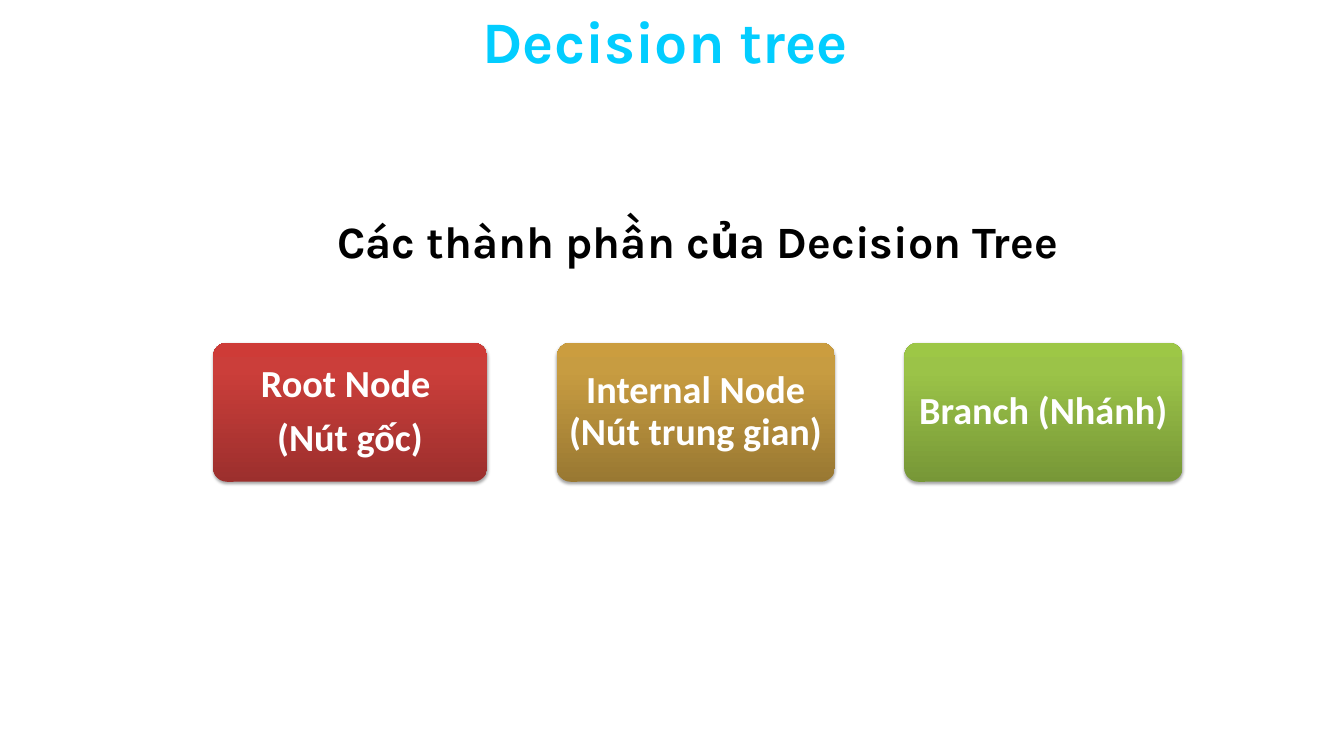
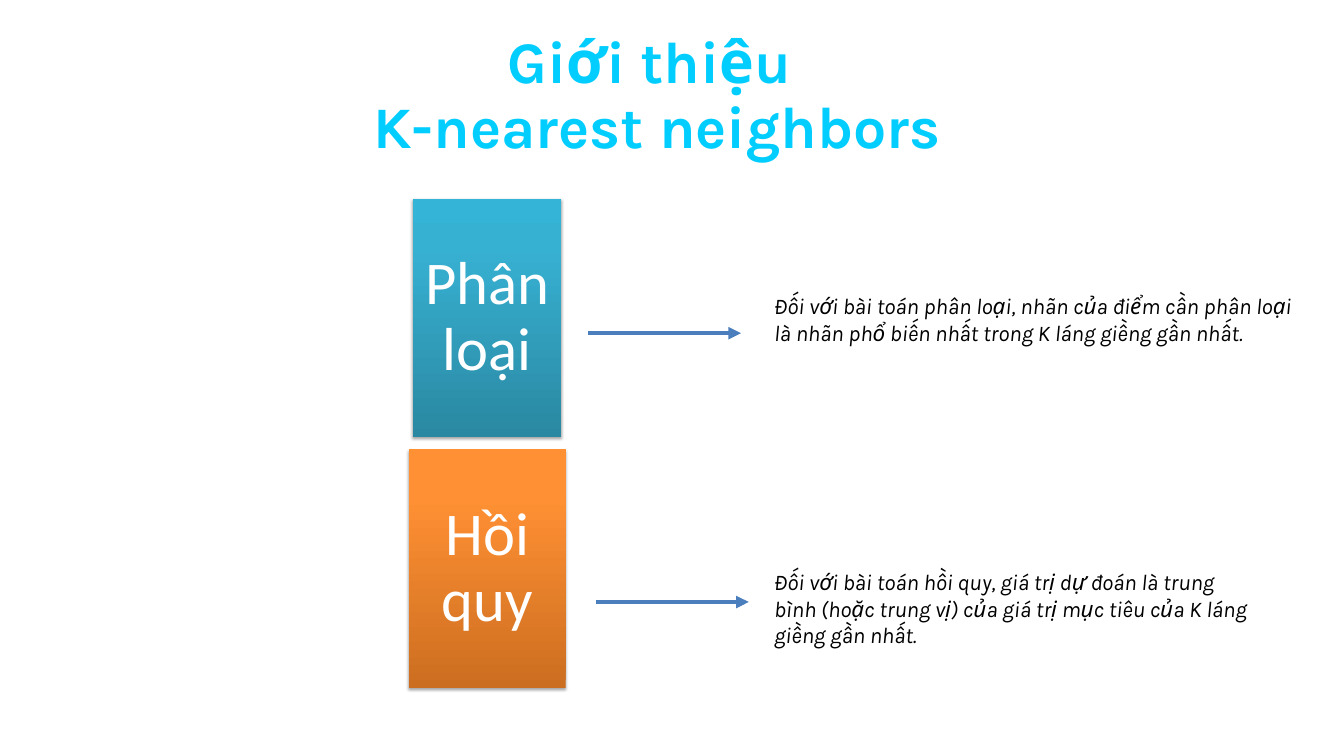
from copy import deepcopy

from lxml.etree import SubElement
from pptx import Presentation
from pptx.dml.color import RGBColor
from pptx.enum.shapes import MSO_CONNECTOR, MSO_SHAPE
from pptx.enum.text import MSO_ANCHOR, MSO_AUTO_SIZE, PP_ALIGN
from pptx.oxml.ns import qn
from pptx.util import Pt

CYAN = RGBColor(0x02, 0xCD, 0xFF)
BLACK = RGBColor(0x00, 0x00, 0x00)
WHITE = RGBColor(0xFF, 0xFF, 0xFF)
ARROW_BLUE = RGBColor(0x4B, 0x7E, 0xBC)

# Gradients run from the bottom edge to the top edge.
STOP_POSITIONS = (0, 0.8, 1)
RED = (RGBColor(0x9C, 0x2F, 0x2D), RGBColor(0xCB, 0x3E, 0x3A), RGBColor(0xCE, 0x3B, 0x37))
GOLD = (RGBColor(0x99, 0x78, 0x32), RGBColor(0xC7, 0x9C, 0x41), RGBColor(0xCB, 0x9D, 0x3F))
GREEN = (RGBColor(0x77, 0x97, 0x37), RGBColor(0x9B, 0xC3, 0x48), RGBColor(0x9D, 0xC7, 0x46))
TEAL = (RGBColor(0x2A, 0x88, 0xA2), RGBColor(0x37, 0xB1, 0xD2), RGBColor(0x34, 0xB4, 0xD6))
ORANGE = (RGBColor(0xCC, 0x6E, 0x20), RGBColor(0xFF, 0x90, 0x34), RGBColor(0xFF, 0x91, 0x36))

TITLE_FONT = {"name": "Karla", "size": Pt(63), "bold": True, "color": CYAN}
HEADING_FONT = {"name": "Karla", "size": Pt(48), "bold": True, "color": BLACK}
NOTE_FONT = {"name": "Karla", "size": Pt(24), "italic": True, "color": BLACK}
PART_FONT = {"name": "Calibri", "size": Pt(41), "bold": True, "color": WHITE}
TASK_FONT = {"name": "Calibri", "size": Pt(65), "color": WHITE}

TREE_TITLE = ["Decision tree"]
TREE_HEADING = ["Các thành phần của Decision Tree"]
TREE_PARTS = [  # lines, gradient, width
    (["Root Node ", "(Nút gốc)"], RED, 293.75),
    (["Internal Node (Nút trung gian)"], GOLD, 298),
    (["Branch (Nhánh)"], GREEN, 298),
]
PARTS_LEFT, PARTS_TOP, PART_HEIGHT, PART_GAP = 228.25, 367.2, 149, 74.5

NEIGHBORS_TITLE = ["Giới thiệu ", "K-nearest neighbors"]
TASKS = [
    {"name": "Phân loại", "gradient": TEAL, "width": 159.25, "arrow": (630, 357),
     "note": "Đối với bài toán phân loại, nhãn của điểm cần phân loại là nhãn phổ biến nhất "
             "trong K láng giềng gần nhất.",
     "note_top": 309.6, "note_width": 570.25},
    {"name": "Hồi quy", "gradient": ORANGE, "width": 168, "arrow": (638.25, 645),
     "note": "Đối với bài toán hồi quy, giá trị dự đoán là trung bình (hoặc trung vị) "
             "của giá trị mục tiêu của K láng giềng gần nhất.",
     "note_top": 604.8, "note_width": 530},
]
TASKS_CENTER, TASKS_TOP, TASK_HEIGHT, TASK_GAP = 522, 213, 255.6, 13
ARROW_LENGTH = 164
NOTE_LEFT, NOTE_HEIGHT = 822.25, 94.3


def write_lines(frame, lines, font_format, insets, **paragraph_format):
    frame.word_wrap = True
    horizontal, vertical = insets
    frame.margin_left = frame.margin_right = Pt(horizontal)
    frame.margin_top = frame.margin_bottom = Pt(vertical)
    for index, line in enumerate(lines):
        paragraph = frame.paragraphs[0] if index == 0 else frame.add_paragraph()
        for name, value in paragraph_format.items():
            setattr(paragraph, name, value)
        run = paragraph.add_run()
        run.text = line
        for name, value in font_format.items():
            if name == "color":
                run.font.color.rgb = value
            else:
                setattr(run.font, name, value)


def add_text(slide, box, lines, font_format, insets=(7.2, 3.6), **paragraph_format):
    frame = slide.shapes.add_textbox(*map(Pt, box)).text_frame
    write_lines(frame, lines, font_format, insets, **paragraph_format)
    frame.auto_size = MSO_AUTO_SIZE.SHAPE_TO_FIT_TEXT


def add_title(slide, box, lines):
    add_text(slide, box, lines, TITLE_FONT, insets=(0, 0),
             alignment=PP_ALIGN.CENTER, line_spacing=Pt(69.3))


def fill_gradient(shape, colors):
    shape.fill.gradient()
    shape.fill.gradient_angle = 90
    stop_list = shape.element.spPr.find(".//" + qn("a:gsLst"))
    stop_list.append(deepcopy(stop_list[-1]))
    for stop, position, color in zip(shape.fill.gradient_stops, STOP_POSITIONS, colors):
        stop.position = position
        stop.color.rgb = color


def add_soft_shadow(shape):
    shape.shadow.inherit = False
    effects = shape.element.spPr.find(qn("a:effectLst"))
    shadow = SubElement(effects, qn("a:outerShdw"), blurRad=str(Pt(3.1)), dist=str(Pt(1.8)),
                        dir="5400000", rotWithShape="0")
    color = SubElement(shadow, qn("a:srgbClr"), val=str(BLACK))
    SubElement(color, qn("a:alpha"), val="35000")


def add_card(slide, kind, box, lines, colors, font_format, insets):
    shape = slide.shapes.add_shape(kind, *map(Pt, box))
    if kind == MSO_SHAPE.ROUNDED_RECTANGLE:
        shape.adjustments[0] = 0.1
    fill_gradient(shape, colors)
    shape.line.fill.background()
    add_soft_shadow(shape)
    shape.text_frame.vertical_anchor = MSO_ANCHOR.MIDDLE
    write_lines(shape.text_frame, lines, font_format, insets,
                alignment=PP_ALIGN.CENTER, line_spacing=0.9, space_after=Pt(13))


def add_arrow(slide, left, top):
    arrow = slide.shapes.add_connector(
        MSO_CONNECTOR.STRAIGHT, Pt(left), Pt(top), Pt(left + ARROW_LENGTH), Pt(top))
    arrow.line.color.rgb = ARROW_BLUE
    arrow.line.width = Pt(4.5)
    line_properties = arrow.element.spPr.find(qn("a:ln"))
    SubElement(line_properties, qn("a:tailEnd"), type="triangle")
    SubElement(arrow.element.spPr, qn("a:effectLst"))


def build_tree_slide(slide):
    add_title(slide, (368, 11.5, 689.75, 69.85), TREE_TITLE)
    add_text(slide, (318.25, 225, 858.25, 65.5), TREE_HEADING, HEADING_FONT,
             alignment=PP_ALIGN.CENTER)
    left = PARTS_LEFT
    for lines, gradient, width in TREE_PARTS:
        add_card(slide, MSO_SHAPE.ROUNDED_RECTANGLE, (left, PARTS_TOP, width, PART_HEIGHT),
                 lines, gradient, PART_FONT, insets=(6.5, 4.3))
        left += width + PART_GAP


def build_neighbors_slide(slide):
    add_title(slide, (372.25, 33, 663, 139.7), NEIGHBORS_TITLE)
    for index, task in enumerate(TASKS):
        left = TASKS_CENTER - task["width"] / 2
        top = TASKS_TOP + index * (TASK_HEIGHT + TASK_GAP)
        add_card(slide, MSO_SHAPE.RECTANGLE, (left, top, task["width"], TASK_HEIGHT),
                 [task["name"]], task["gradient"], TASK_FONT, insets=(10, 13))
        add_text(slide, (NOTE_LEFT, task["note_top"], task["note_width"], NOTE_HEIGHT),
                 [task["note"]], NOTE_FONT)
        add_arrow(slide, *task["arrow"])


def main():
    presentation = Presentation()
    presentation.slide_width, presentation.slide_height = Pt(1440), Pt(810)
    blank = presentation.slide_layouts[6]
    for build in (build_tree_slide, build_neighbors_slide):
        build(presentation.slides.add_slide(blank))
    presentation.save("out.pptx")


if __name__ == "__main__":
    main()
